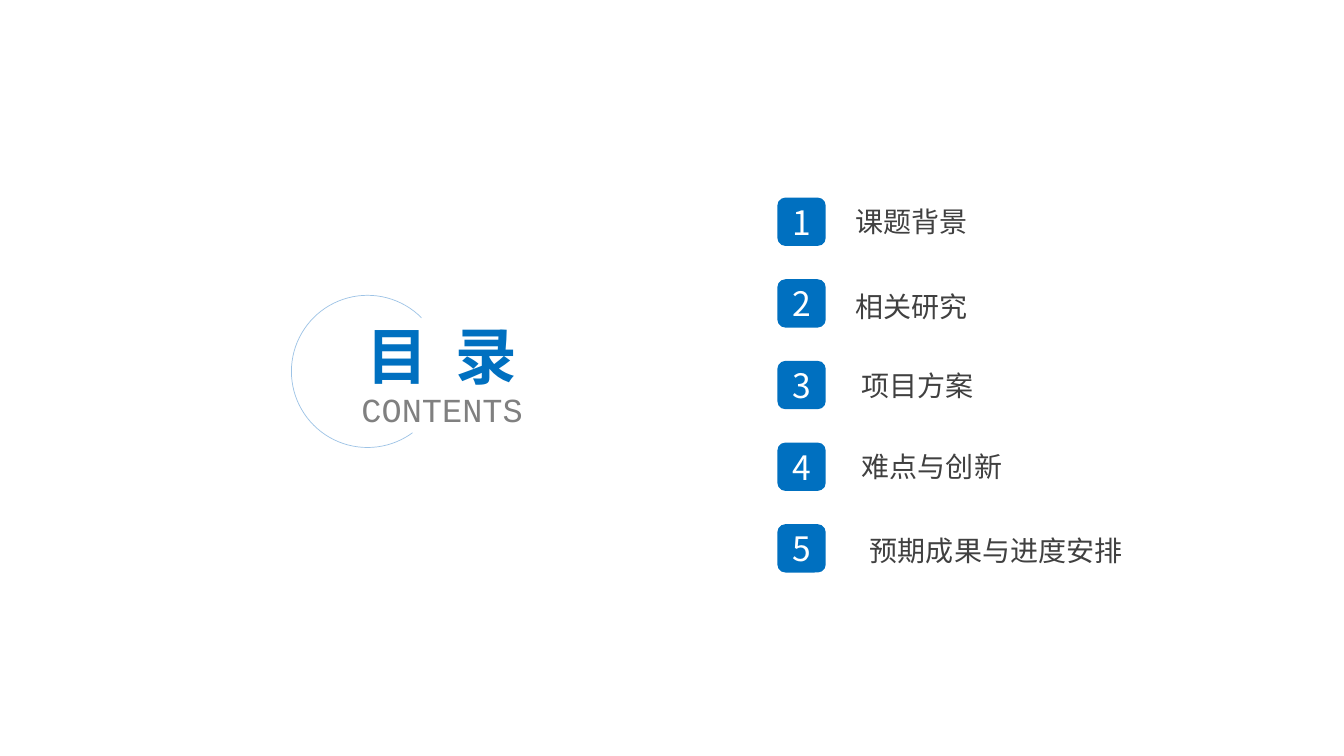
from lxml import etree
from pptx import Presentation
from pptx.dml.color import RGBColor
from pptx.enum.shapes import MSO_SHAPE
from pptx.enum.text import MSO_ANCHOR, MSO_AUTO_SIZE, PP_ALIGN
from pptx.oxml.ns import qn
from pptx.util import Inches, Pt

ROUNDED, ARC = MSO_SHAPE.ROUNDED_RECTANGLE, MSO_SHAPE.ARC
MIDDLE = MSO_ANCHOR.MIDDLE
NO_FIT = MSO_AUTO_SIZE.NONE
LEFT, CENTER = PP_ALIGN.LEFT, PP_ALIGN.CENTER
TITLE_ONLY = 5


def color(value):
    return RGBColor.from_string(value)


class ContentsSlide:
    accent, arc_line = "0070C0", "9DC3E6"
    label_color, subtitle_color, badge_text = "404040", "808080", "FFFFFF"
    chinese_font, title_font, subtitle_font = "Noto Sans CJK SC", "Calibri", "Courier New"

    def __init__(self, presentation):
        self.slide = presentation.slides.add_slide(presentation.slide_layouts[TITLE_ONLY])

    def format(self, paragraph, size, font, text_color, align, bold=False, tracking=0):
        paragraph.alignment = align
        for run in paragraph.runs:
            run.font.size = Pt(size)
            run.font.name = font
            run.font.bold = bold
            run.font.color.rgb = color(text_color)
            properties = run._r.get_or_add_rPr()
            east_asian = etree.Element(qn("a:ea"), typeface=self.chinese_font)
            properties.find(qn("a:latin")).addnext(east_asian)
            if tracking:
                properties.set("spc", str(tracking * 100))

    def title(self, heading, subtitle, left, top, width, height):
        shape = self.slide.shapes.title
        shape.left, shape.top = Inches(left), Inches(top)
        shape.width, shape.height = Inches(width), Inches(height)
        frame = shape.text_frame
        frame.text = f"{heading}\n{subtitle}"
        frame.auto_size = NO_FIT
        frame.vertical_anchor = MIDDLE
        first, second = frame.paragraphs
        self.format(first, 44, self.title_font, self.accent, CENTER, bold=True, tracking=5)
        self.format(second, 24, self.subtitle_font, self.subtitle_color, CENTER)
        for paragraph in frame.paragraphs:
            paragraph.line_spacing = 0.9

    def arc(self, left, top, size, start, end):
        shape = self.slide.shapes.add_shape(
            ARC, Inches(left), Inches(top), Inches(size), Inches(size))
        shape.shadow.inherit = False
        shape.adjustments[0], shape.adjustments[1] = start, end
        shape.fill.background()
        shape.line.color.rgb = color(self.arc_line)
        shape.line.width = Pt(0.5)

    def badge(self, number, left, top, size):
        shape = self.slide.shapes.add_shape(
            ROUNDED, Inches(left), Inches(top), Inches(size), Inches(size))
        shape.shadow.inherit = False
        shape.fill.solid()
        shape.fill.fore_color.rgb = color(self.accent)
        shape.line.fill.background()
        frame = shape.text_frame
        frame.text = str(number)
        frame.vertical_anchor = MIDDLE
        self.format(frame.paragraphs[0], 24, self.chinese_font, self.badge_text, CENTER)

    def label(self, text, left, top, width, height):
        shape = self.slide.shapes.add_textbox(
            Inches(left), Inches(top), Inches(width), Inches(height))
        frame = shape.text_frame
        frame.text = text
        frame.word_wrap = True
        frame.vertical_anchor = MIDDLE
        self.format(frame.paragraphs[0], 20, self.chinese_font, self.label_color, LEFT)


presentation = Presentation()
presentation.slide_width, presentation.slide_height = Inches(13.33), Inches(7.5)
contents = ContentsSlide(presentation)
contents.title("目 录", "CONTENTS", 3.2, 2.93, 2.37, 1.64)
contents.arc(2.89, 2.93, 1.51, 32.25, 189.11)

BADGE_LEFT, BADGE_TOP, BADGE_SIZE, ROW_STEP = 7.71, 1.96, 0.48, 0.81
CHAPTERS = [
    ("课题背景", 8.39, 1.93),
    ("相关研究", 8.39, 2.77),
    ("项目方案", 8.45, 3.55),
    ("难点与创新", 8.45, 4.36),
    ("预期成果与进度安排", 8.53, 5.19),
]
for row, (chapter, left, top) in enumerate(CHAPTERS):
    contents.badge(row + 1, BADGE_LEFT, BADGE_TOP + row * ROW_STEP, BADGE_SIZE)
    contents.label(chapter, left, top, 2.84, 0.54)

presentation.save("out.pptx")
